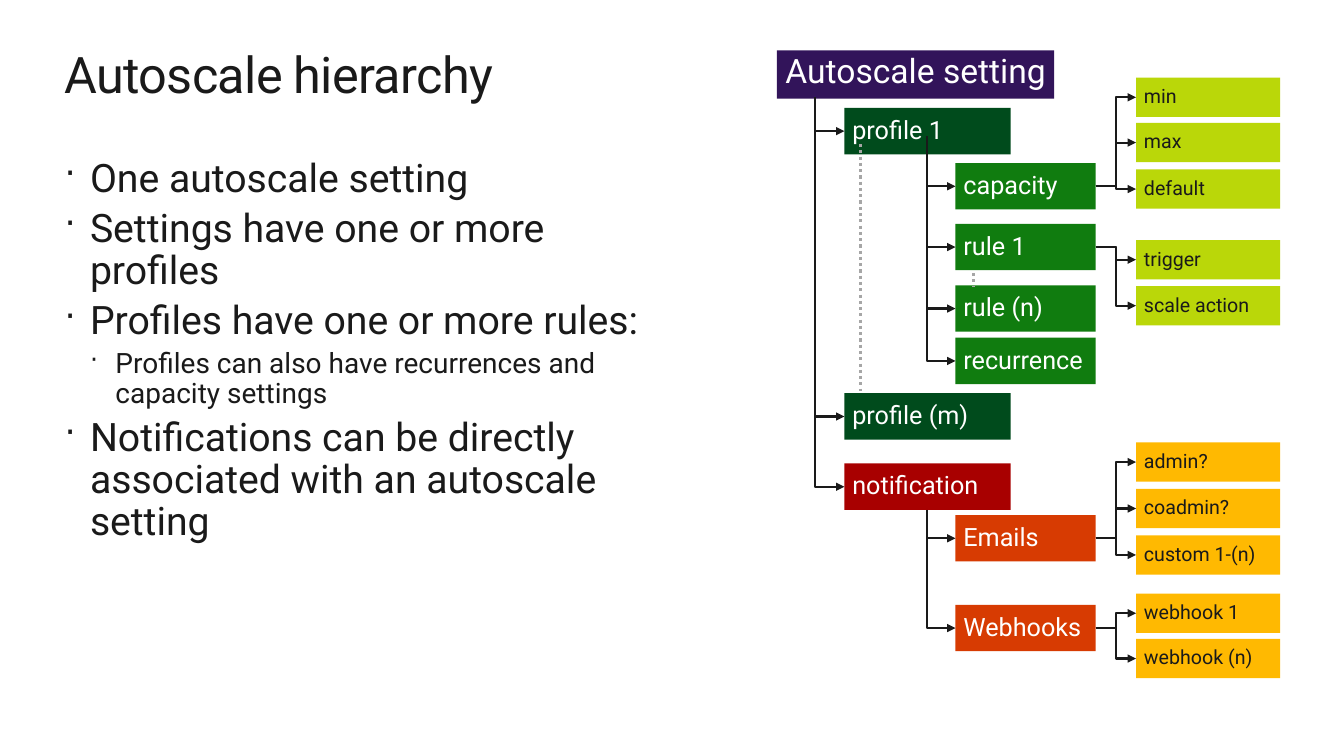
from lxml.etree import SubElement
from pptx import Presentation
from pptx.dml.color import RGBColor
from pptx.enum.dml import MSO_LINE
from pptx.enum.shapes import MSO_CONNECTOR, MSO_SHAPE
from pptx.enum.text import MSO_ANCHOR, PP_ALIGN
from pptx.oxml.ns import qn
from pptx.util import Cm, Pt

FONT = "Roboto"
INK = RGBColor(0x1A, 0x1A, 0x1A)
WHITE = RGBColor(0xFF, 0xFF, 0xFF)
GREY = RGBColor(0xA6, 0xA6, 0xA6)
PURPLE = RGBColor(0x32, 0x14, 0x5A)
DARK_GREEN = RGBColor(0x00, 0x4B, 0x1C)
GREEN = RGBColor(0x10, 0x7C, 0x0F)
LIME = RGBColor(0xBA, 0xD7, 0x09)
RED = RGBColor(0xA8, 0x00, 0x00)
ORANGE = RGBColor(0xD7, 0x3B, 0x02)
AMBER = RGBColor(0xFF, 0xB9, 0x01)

BULLETS = [
    (0, "One autoscale setting"),
    (0, "Settings have one or more profiles"),
    (0, "Profiles have one or more rules:"),
    (1, "Profiles can also have recurrences and capacity settings"),
    (0, "Notifications can be directly associated with an autoscale setting"),
]
PROFILE_PARTS = [
    ("capacity", 4.11, [("min", 1.96), ("max", 3.1), ("default", 4.27)]),
    ("rule 1", 5.64, [("trigger", 6.05), ("scale action", 7.21)]),
    ("rule (n)", 7.19, []),
    ("recurrence", 8.51, []),
]
NOTIFICATION_PARTS = [
    ("Emails", 12.98, [("admin?", 11.15), ("coadmin?", 12.32), ("custom 1-(n)", 13.49)]),
    ("Webhooks", 15.24, [("webhook 1", 14.96), ("webhook (n)", 16.1)]),
]


def add_span(para, text, size, color):
    """Add one run of text to a paragraph."""
    para.line_spacing = 0.9
    span = para.add_run()
    span.text = text
    span.font.name = FONT
    span.font.size = Pt(size)
    span.font.color.rgb = color
    return span


def set_insets(frame, left, top, right, bottom):
    """Set the inner margins of a text frame in centimetres and wrap its text."""
    frame.margin_left, frame.margin_top = Cm(left), Cm(top)
    frame.margin_right, frame.margin_bottom = Cm(right), Cm(bottom)
    frame.word_wrap = True


def add_text_frame(page, left, top, width, height):
    """Add a text box without margins and return its frame."""
    box = page.shapes.add_textbox(Cm(left), Cm(top), Cm(width), Cm(height))
    set_insets(box.text_frame, 0, 0, 0, 0)
    return box.text_frame


def add_title(page, text):
    """Add the slide title."""
    frame = add_text_frame(page, 1.63, 1.27, 30.6, 1.55)
    span = add_span(frame.paragraphs[0], text, 36, INK)
    span.font._element.set("spc", "-50")


def add_bullets(page, items):
    """Add the bulleted list of (level, text) items."""
    frame = add_text_frame(page, 1.63, 3.99, 15.24, 9.78)
    for index, (level, text) in enumerate(items):
        para = frame.add_paragraph() if index else frame.paragraphs[0]
        size = 20 if level else 28
        para.level = level
        para.space_before = Pt(size * 0.2)
        add_span(para, text, size, INK)
        properties = para._p.get_or_add_pPr()
        properties.set("marL", str(Cm(0.64 * (level + 1))))
        properties.set("indent", str(-Cm(0.64)))
        SubElement(properties, qn("a:buSzPct"), val="90000")
        SubElement(properties, qn("a:buChar"), char="·")


def add_box(page, text, left, top, width, height, fill, size=18, color=WHITE):
    """Add a filled rectangle with a left-aligned label."""
    box = page.shapes.add_shape(
        MSO_SHAPE.RECTANGLE, Cm(left), Cm(top), Cm(width), Cm(height))
    box.shadow.inherit = False
    box.fill.solid()
    box.fill.fore_color.rgb = fill
    box.line.fill.background()
    frame = box.text_frame
    set_insets(frame, 0.2, 0.2, 0.1, 0.2)
    frame.vertical_anchor = MSO_ANCHOR.MIDDLE
    frame.paragraphs[0].alignment = PP_ALIGN.LEFT
    add_span(frame.paragraphs[0], text, size, color)
    return box


def add_root(page, text):
    """Add the top box of the hierarchy."""
    box = add_box(page, text, 19.58, 1.27, 6.99, 1.22, PURPLE, 24)
    set_insets(box.text_frame, 0.1, 0.1, 0.1, 0.1)
    box.text_frame.vertical_anchor = MSO_ANCHOR.TOP
    box.text_frame.paragraphs[0].alignment = PP_ALIGN.CENTER


def add_branch(page, text, top, fill):
    """Add a second-level box."""
    return add_box(page, text, 21.28, top, 4.19, 1.17, fill)


def style_line(line, color, width):
    """Give a connector its colour and width and no shadow."""
    line.line.color.rgb = color
    line.line.width = Pt(width)
    SubElement(line.element.spPr, qn("a:effectLst"))


def style_arrow(line):
    """Style a connector as an arrow of the hierarchy."""
    style_line(line, INK, 1.5)
    SubElement(line.get_or_add_ln(), qn("a:tailEnd"), type="triangle")


def add_side_arrow(page, parent, child):
    """Join the right side of the parent to the left side of the child."""
    line = page.shapes.add_connector(MSO_CONNECTOR.ELBOW, 0, 0, 0, 0)
    line.begin_connect(parent, 3)
    line.end_connect(child, 1)
    style_arrow(line)


def add_drop_arrow(page, left, top, child):
    """Run an arrow down from a point and then right to the child."""
    start_x, start_y = Cm(left), Cm(top)
    across = child.left - start_x
    down = child.top + child.height // 2 - start_y
    x = start_x + (across - down) // 2
    y = start_y + (down - across) // 2
    line = page.shapes.add_connector(MSO_CONNECTOR.ELBOW, x, y, x + down, y + across)
    frame = line.element.spPr.find(qn("a:xfrm"))
    frame.set("rot", "16200000")
    frame.set("flipH", "1")
    line.element.spPr.find(qn("a:prstGeom")).set("prst", "bentConnector2")
    style_arrow(line)


def add_dots(page, left, top, bottom):
    """Add a vertical dotted line for the items left out."""
    line = page.shapes.add_connector(
        MSO_CONNECTOR.STRAIGHT, Cm(left), Cm(top), Cm(left), Cm(bottom))
    style_line(line, GREY, 2.25)
    line.line.dash_style = MSO_LINE.ROUND_DOT


def add_parts(page, parts, trunk_top, part_fill, leaf_fill):
    """Add the third-level boxes of a branch with their leaves and arrows."""
    for text, top, leaves in parts:
        part = add_box(page, text, 24.08, top, 3.53, 1.17, part_fill)
        add_drop_arrow(page, 23.37, trunk_top, part)
        for leaf_text, leaf_top in leaves:
            leaf = add_box(page, leaf_text, 28.63, leaf_top, 3.63, 0.99,
                           leaf_fill, 14, INK)
            add_side_arrow(page, part, leaf)


def main():
    """Build the slide and save it."""
    deck = Presentation()
    deck.slide_width, deck.slide_height = Cm(33.87), Cm(19.05)
    page = deck.slides.add_slide(deck.slide_layouts[6])
    add_title(page, "Autoscale hierarchy")
    add_bullets(page, BULLETS)
    add_root(page, "Autoscale setting")
    for text, top, fill in [("profile 1", 2.72, DARK_GREEN),
                            ("profile (m)", 9.91, DARK_GREEN),
                            ("notification", 11.68, RED)]:
        add_drop_arrow(page, 20.55, 2.45, add_branch(page, text, top, fill))
    add_parts(page, PROFILE_PARTS, 3.43, GREEN, LIME)
    add_parts(page, NOTIFICATION_PARTS, 12.85, ORANGE, AMBER)
    add_dots(page, 21.69, 3.63, 9.86)
    add_dots(page, 24.54, 6.88, 7.24)
    deck.save("out.pptx")


if __name__ == "__main__":
    main()
